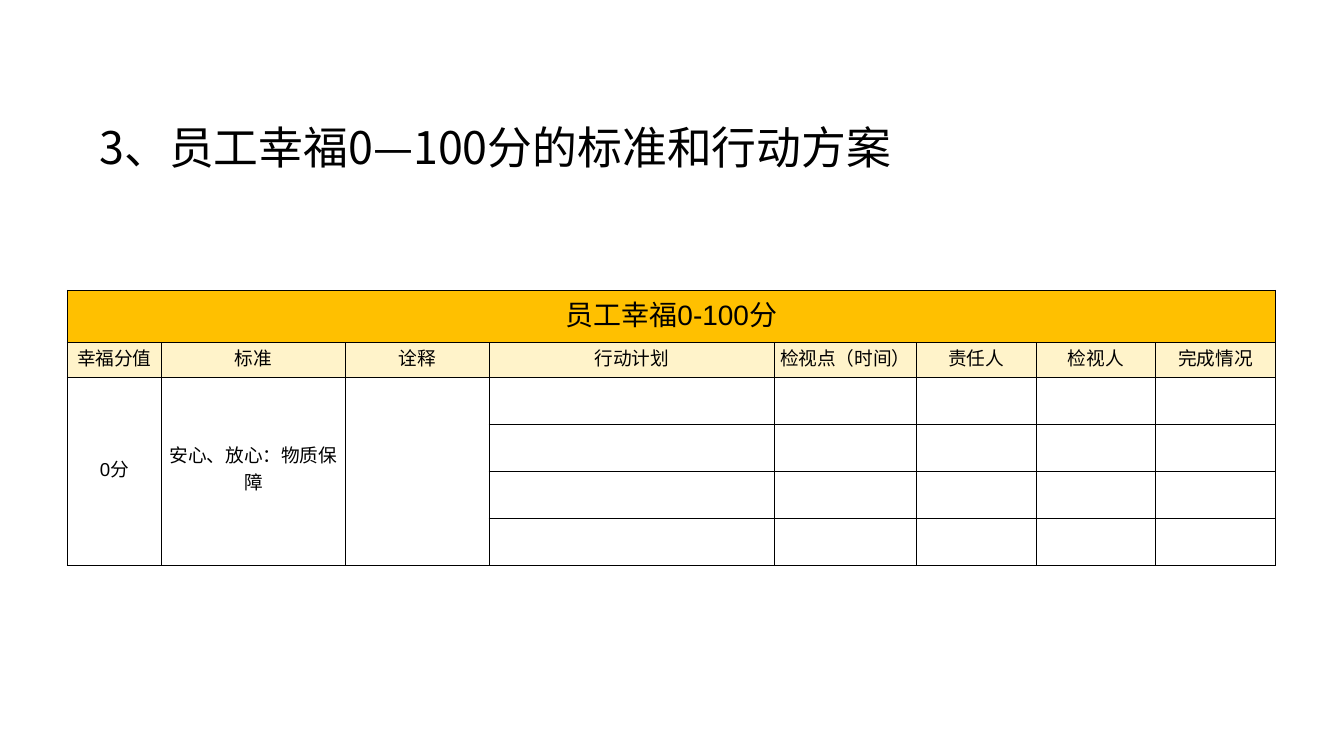
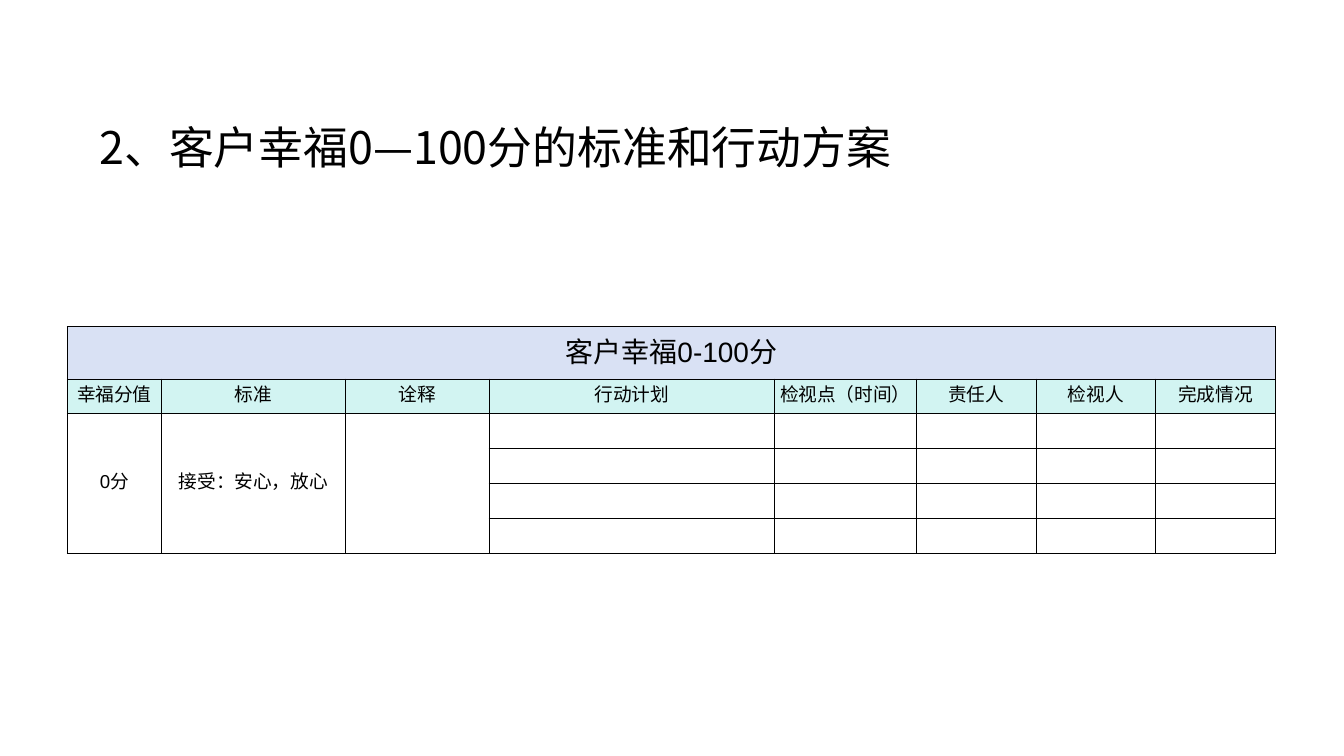
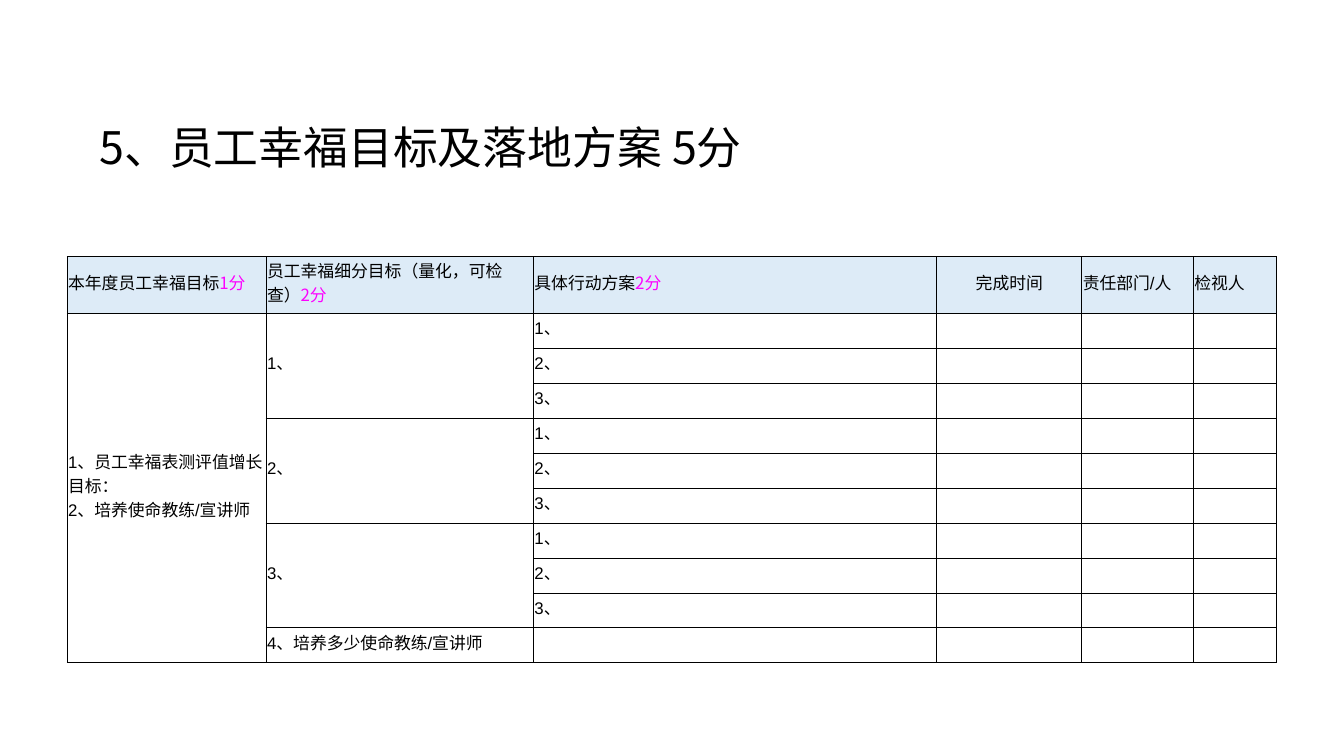
from dataclasses import dataclass

from lxml.etree import SubElement
from pptx import Presentation
from pptx.dml.color import RGBColor
from pptx.enum.text import MSO_ANCHOR as Anchor, MSO_AUTO_SIZE as AutoSize, PP_ALIGN as Align
from pptx.oxml.ns import qn
from pptx.util import Inches, Pt


@dataclass(frozen=True)
class Theme:
    black: str = "000000"
    white: str = "FFFFFF"
    score: str = "FC02FF"
    gold: str = "FFC000"
    cream: str = "FFF3CA"
    lavender: str = "D9E1F4"
    mint: str = "D2F4F2"
    sky: str = "DDEBF7"
    latin: str = "Arial"
    chinese: str = "Noto Sans CJK SC"
    title_size: float = 24
    banner_size: float = 15
    score_size: float = 10
    goal_size: float = 9
    empty_size: float = 12
    border: float = 0.5


THEME = Theme()
SLIDE_WIDTH = Inches(10)
SLIDE_HEIGHT = SLIDE_WIDTH * 9 // 16
GRID_COLUMNS = 1000
GRID_ROWS = GRID_COLUMNS * 9 / 16
TABLE_LEFT = 50
SCORE_COLUMNS = (70, 137, 107, 212, 106, 89, 89, 89)
SCORE_HEADINGS = ("幸福分值", "标准", "诠释", "行动计划", "检视点（时间）", "责任人", "检视人", "完成情况")
GOAL_COLUMNS = (148, 199, 300, 108, 83, 62)
STEPS = ("1、", "2、", "3、")


@dataclass(frozen=True)
class Piece:
    text: str
    color: str = THEME.black
    font: str = THEME.latin


@dataclass(frozen=True)
class CellText:
    row: int
    column: int
    paragraphs: tuple[tuple[Piece, ...], ...] = ()
    align: Align = Align.CENTER
    size: float = THEME.score_size
    fill: str = THEME.white
    row_span: int = 1
    column_span: int = 1


@dataclass(frozen=True)
class TableSlide:
    title: str
    top: int
    columns: tuple[int, ...]
    rows: tuple[int, ...]
    cells: tuple[CellText, ...]


def across(columns: float) -> int:
    return round(SLIDE_WIDTH * columns / GRID_COLUMNS)


def down(rows: float) -> int:
    return round(SLIDE_HEIGHT * rows / GRID_ROWS)


def plain(*lines: str) -> tuple[tuple[Piece, ...], ...]:
    return tuple((Piece(line),) for line in lines)


def add_run(paragraph, text: str, *, size: float, color: str, font: str) -> None:
    run = paragraph.add_run()
    run.text = text
    run.font.size = Pt(size)
    run.font.bold = False
    run.font.color.rgb = RGBColor.from_string(color)
    run.font.name = font
    SubElement(run.font._element, qn("a:ea"), typeface=THEME.chinese)


def add_title(slide, text: str) -> None:
    title = slide.shapes.title
    title.left, title.top = across(69), down(84)
    title.width, title.height = across(862), down(55)
    frame = title.text_frame
    frame.word_wrap = True
    frame.auto_size = AutoSize.NONE
    frame.vertical_anchor = Anchor.MIDDLE
    frame.margin_left = frame.margin_right = across(5)
    frame.margin_top = frame.margin_bottom = down(5)
    paragraph = frame.paragraphs[0]
    paragraph.alignment = Align.LEFT
    paragraph.line_spacing = 0.9
    add_run(paragraph, text, size=THEME.title_size, color=THEME.black, font=THEME.chinese)


def format_cell(cell, fill: str) -> None:
    properties = cell._tc.get_or_add_tcPr()
    for side in ("lnL", "lnR", "lnT", "lnB"):
        line = SubElement(properties, qn(f"a:{side}"), w=str(Pt(THEME.border)))
        color = SubElement(line, qn("a:solidFill"))
        SubElement(color, qn("a:srgbClr"), val=THEME.black)
    cell.fill.solid()
    cell.fill.fore_color.rgb = RGBColor.from_string(fill)
    cell.vertical_anchor = Anchor.MIDDLE
    cell.margin_left = cell.margin_right = across(0.7)
    cell.margin_top, cell.margin_bottom = down(0.7), down(5)


def write_cell(cell, content: CellText) -> None:
    frame = cell.text_frame
    for index, pieces in enumerate(content.paragraphs):
        paragraph = frame.add_paragraph() if index else frame.paragraphs[0]
        paragraph.alignment = content.align
        for piece in pieces:
            add_run(paragraph, piece.text, size=content.size, color=piece.color, font=piece.font)


def add_grid(slide, layout: TableSlide) -> None:
    shape = slide.shapes.add_table(
        len(layout.rows), len(layout.columns), across(TABLE_LEFT), down(layout.top),
        across(sum(layout.columns)), down(sum(layout.rows)),
    )
    table = shape.table
    table.first_row = table.horz_banding = False
    for column, width in zip(table.columns, layout.columns):
        column.width = across(width)
    for row, height in zip(table.rows, layout.rows):
        row.height = down(height)
    contents = {(content.row, content.column): content for content in layout.cells}
    for row in range(len(layout.rows)):
        for column in range(len(layout.columns)):
            cell = table.cell(row, column)
            content = contents.get((row, column), CellText(row, column))
            format_cell(cell, content.fill)
            if content.paragraphs:
                write_cell(cell, content)
            else:
                paragraph = cell.text_frame.paragraphs[0]
                SubElement(paragraph._p, qn("a:endParaRPr"), sz=str(round(THEME.empty_size * 100)))
    for content in layout.cells:
        if content.row_span > 1 or content.column_span > 1:
            last = table.cell(content.row + content.row_span - 1, content.column + content.column_span - 1)
            table.cell(content.row, content.column).merge(last)


def score_slide(number: int, subject: str, standard: str, *, top: int, heading_height: int,
                row_height: int, banner_fill: str, heading_fill: str) -> TableSlide:
    banner = CellText(0, 0, plain(f"{subject}幸福0-100分"), size=THEME.banner_size,
                      fill=banner_fill, column_span=len(SCORE_COLUMNS))
    headings = tuple(
        CellText(1, column, plain(text), fill=heading_fill)
        for column, text in enumerate(SCORE_HEADINGS)
    )
    merged = tuple(
        CellText(2, column, plain(text) if text else (), row_span=4)
        for column, text in enumerate(("0分", standard, ""))
    )
    return TableSlide(
        f"{number}、{subject}幸福0—100分的标准和行动方案", top, SCORE_COLUMNS,
        (39, heading_height) + (row_height,) * 4, (banner, *headings, *merged),
    )


def goal_cell(row: int, column: int, *lines: str, row_span: int = 1) -> CellText:
    return CellText(row, column, plain(*lines), Align.LEFT, THEME.goal_size, row_span=row_span)


def goal_slide() -> TableSlide:
    scored = (("本年度员工幸福目标", "1分"), ("员工幸福细分目标（量化，可检查）", "2分"), ("具体行动方案", "2分"))
    headings = [
        (Piece(text, font=THEME.chinese), Piece(points, THEME.score, THEME.chinese))
        for text, points in scored
    ] + [(Piece(text),) for text in ("完成时间", "责任部门/人", "检视人")]
    cells = [
        CellText(0, column, (pieces,), Align.CENTER if column == 3 else Align.LEFT,
                 THEME.goal_size, THEME.sky)
        for column, pieces in enumerate(headings)
    ]
    cells.append(goal_cell(1, 0, "1、员工幸福表测评值增长目标：", "2、培养使命教练/宣讲师", row_span=10))
    for group, goal in enumerate(STEPS):
        first = 1 + group * len(STEPS)
        cells.append(goal_cell(first, 1, goal, row_span=len(STEPS)))
        cells.extend(goal_cell(first + index, 2, step) for index, step in enumerate(STEPS))
    cells.append(goal_cell(10, 1, "4、培养多少使命教练/宣讲师"))
    return TableSlide("5、员工幸福目标及落地方案 5分", 191, GOAL_COLUMNS, (39,) + (20,) * 10,
                      tuple(cells))


def main() -> None:
    presentation = Presentation()
    presentation.slide_width, presentation.slide_height = SLIDE_WIDTH, SLIDE_HEIGHT
    title_only = presentation.slide_layouts[5]
    layouts = (
        score_slide(3, "员工", "安心、放心：物质保障", top=216, heading_height=23, row_height=35,
                    banner_fill=THEME.gold, heading_fill=THEME.cream),
        score_slide(2, "客户", "接受：安心，放心", top=243, heading_height=22, row_height=22,
                    banner_fill=THEME.lavender, heading_fill=THEME.mint),
        goal_slide(),
    )
    for layout in layouts:
        slide = presentation.slides.add_slide(title_only)
        add_title(slide, layout.title)
        add_grid(slide, layout)
    presentation.save("out.pptx")


if __name__ == "__main__":
    main()
